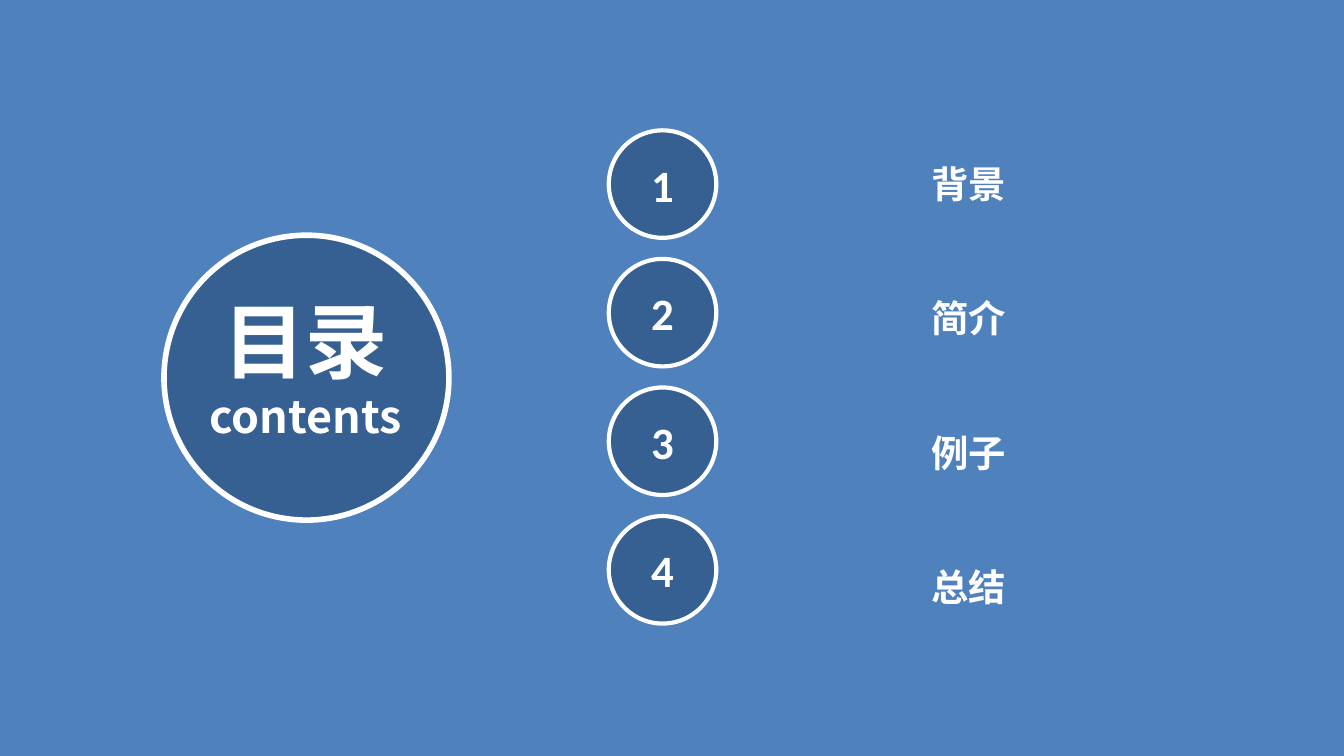
import dataclasses

import pptx
import pptx.dml.color
import pptx.enum.shapes
import pptx.enum.text
import pptx.oxml
import pptx.oxml.ns
import pptx.shapes.autoshape
import pptx.slide
import pptx.text.text
import pptx.util

Inches = pptx.util.Inches
Kind = pptx.enum.shapes.MSO_SHAPE
Align = pptx.enum.text.PP_ALIGN
Anchor = pptx.enum.text.MSO_ANCHOR
Fit = pptx.enum.text.MSO_AUTO_SIZE


@dataclasses.dataclass(frozen=True)
class Theme:
    back: str = "4F81BD"
    disc: str = "376092"
    white: str = "FFFFFF"
    latin: str = "Calibri"
    asian: str = "Noto Sans CJK SC"
    title: int = 44
    mark: int = 24
    item: int = 20


@dataclasses.dataclass(frozen=True)
class Box:
    left: float
    top: float
    width: float
    height: float

    def lengths(self) -> list[pptx.util.Length]:
        return [Inches(n) for n in dataclasses.astuple(self)]


@dataclasses.dataclass(frozen=True)
class Line:
    text: str
    size: int
    font: str


THEME = Theme()
WIDTH = 10
HEIGHT = WIDTH * 9 / 16
TOPICS = ["背景", "简介", "例子", "总结"]
DISC_TOP, DISC_END = 0.97, 3.84
DISC_STEP = (DISC_END - DISC_TOP) / (len(TOPICS) - 1)
TOPIC_TOP, TOPIC_STEP = 1.15, 1


def color(code: str) -> pptx.dml.color.RGBColor:
    return pptx.dml.color.RGBColor.from_string(code)


def write(frame: pptx.text.text.TextFrame, lines: list[Line], align: Align) -> None:
    for index, line in enumerate(lines):
        para = frame.add_paragraph() if index else frame.paragraphs[0]
        para.alignment = align
        run = para.add_run()
        run.text = line.text
        run.font.size = pptx.util.Pt(line.size)
        run.font.bold = True
        run.font.name = line.font
        run.font.color.rgb = color(THEME.white)
        # Chinese glyphs take their typeface from a:ea
        latin = run.font._element.find(pptx.oxml.ns.qn("a:latin"))
        east = latin.makeelement(pptx.oxml.ns.qn("a:ea"), {"typeface": THEME.asian})
        latin.addnext(east)


def shape(slide: pptx.slide.Slide, kind: Kind, box: Box, fill: str,
          edge: float = 0) -> pptx.shapes.autoshape.Shape:
    """Add a filled shape; an edge of 0 points means no outline."""
    item = slide.shapes.add_shape(kind, *box.lengths())
    item.shadow.inherit = False
    item.fill.solid()
    item.fill.fore_color.rgb = color(fill)
    if edge:
        item.line.color.rgb = color(THEME.white)
        item.line.width = pptx.util.Pt(edge)
    else:
        item.line.fill.background()
    return item


def label(slide: pptx.slide.Slide, box: Box, lines: list[Line],
          align: Align, wrap: bool) -> None:
    frame = slide.shapes.add_textbox(*box.lengths()).text_frame
    frame.word_wrap = wrap
    frame.auto_size = Fit.SHAPE_TO_FIT_TEXT
    write(frame, lines, align)


def entry(slide: pptx.slide.Slide, index: int, topic: str) -> None:
    """Add one numbered disc and its topic."""
    spot = Box(4.53, DISC_TOP + index * DISC_STEP, 0.8, 0.8)
    disc = shape(slide, Kind.OVAL, spot, THEME.disc, 2.25)
    disc.text_frame.vertical_anchor = Anchor.MIDDLE
    number = Line(str(index + 1), THEME.mark, THEME.latin)
    write(disc.text_frame, [number], Align.CENTER)
    area = Box(6.83, TOPIC_TOP + index * TOPIC_STEP, 0.76, 0.44)
    label(slide, area, [Line(topic, THEME.item, THEME.latin)], Align.LEFT, False)


def main() -> None:
    deck = pptx.Presentation()
    deck.slide_width, deck.slide_height = Inches(WIDTH), Inches(HEIGHT)
    slide = deck.slides.add_slide(deck.slide_layouts[6])

    shape(slide, Kind.RECTANGLE, Box(0, 0, WIDTH, HEIGHT), THEME.back)
    for index, topic in enumerate(TOPICS):
        entry(slide, index, topic)

    shape(slide, Kind.OVAL, Box(1.22, 1.75, 2.12, 2.12), THEME.disc, 3)
    heading = [Line("目录", THEME.title, THEME.asian),
               Line("contents", THEME.mark, THEME.asian)]
    label(slide, Box(1.17, 2.11, 2.21, 1.25), heading, Align.CENTER, True)

    deck.save("out.pptx")


if __name__ == "__main__":
    main()
